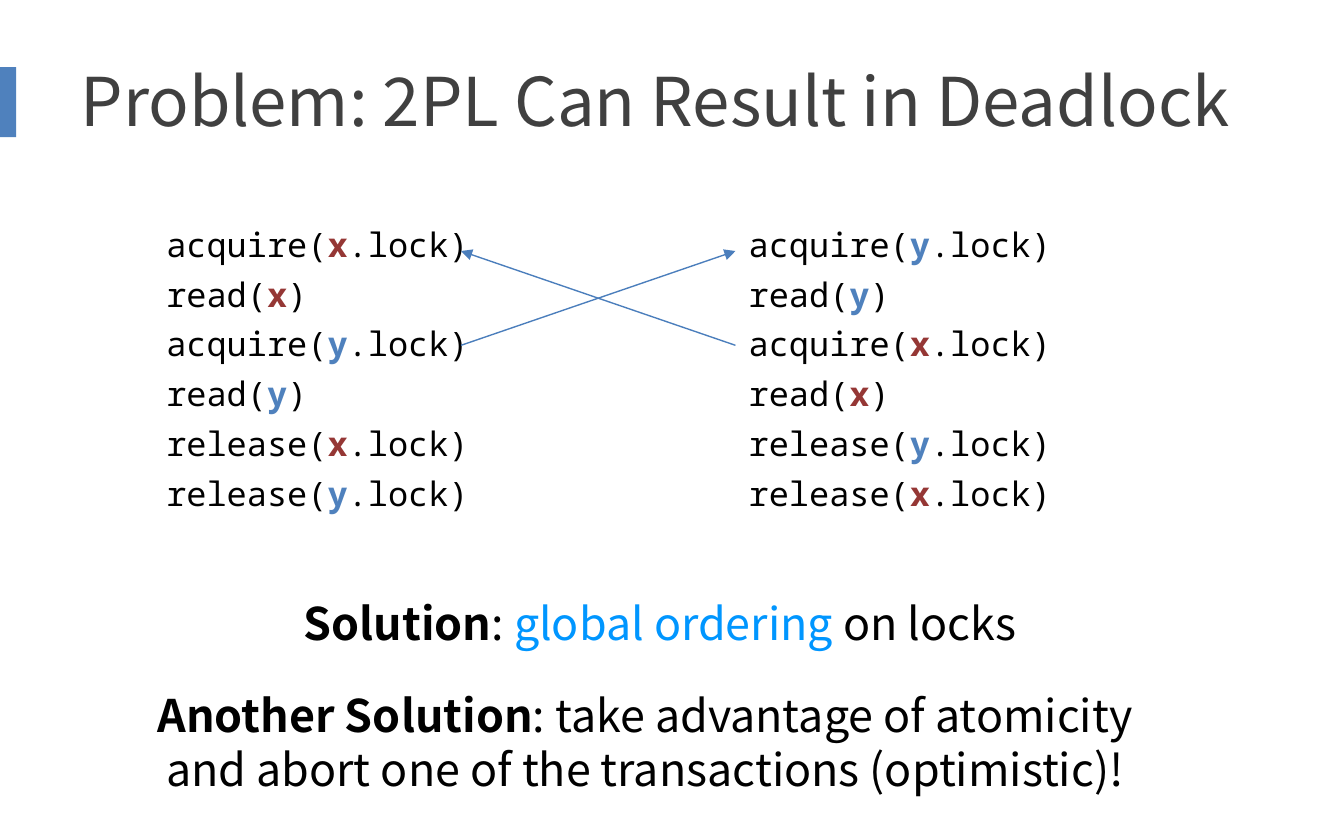
from lxml import etree
from pptx import Presentation
from pptx.dml.color import RGBColor
from pptx.enum import shapes, text
from pptx.oxml import ns
from pptx.util import Pt

COLORS = {
    "accent": "4F81BD", "title": "404040", "text": "000000",
    "x": "953735", "y": "4F81BD", "highlight": "0096FF", "arrow": "4B7EBC",
}
SANS, MONO = "Noto Sans CJK SC", "Noto Sans Mono"
LEFT_LOCKS, RIGHT_LOCKS = ("x", "y", "x", "y"), ("y", "x", "y", "x")


def color(name):
    return RGBColor.from_string(COLORS[name])


def place(shape, left, top, width, height):
    shape.left, shape.top = Pt(left), Pt(top)
    shape.width, shape.height = Pt(width), Pt(height)


def add_accent_bar(slide):
    bar = slide.shapes.add_shape(
        shapes.MSO_SHAPE.RECTANGLE, Pt(-4.3), Pt(36), Pt(13), Pt(37.5))
    bar.shadow.inherit = False
    bar.fill.solid()
    bar.fill.fore_color.rgb = color("accent")
    bar.line.fill.background()


def set_title(slide, words):
    title = slide.shapes.title
    place(title, 36, 18, 648, 70.5)
    frame = title.text_frame
    frame.text = words
    frame.vertical_anchor = text.MSO_ANCHOR.MIDDLE
    paragraph = frame.paragraphs[0]
    paragraph.alignment = text.PP_ALIGN.LEFT
    paragraph.font.size, paragraph.font.name = Pt(36), SANS
    paragraph.font.color.rgb = color("title")


def add_text_box(slide, left, top, width, height):
    box = slide.shapes.add_textbox(Pt(left), Pt(top), Pt(width), Pt(height))
    box.text_frame.word_wrap = True
    return box.text_frame


def fill_paragraph(paragraph, runs, font_name, size):
    """Add (words, colour name, bold) runs to the paragraph."""
    paragraph.font.name, paragraph.font.size = font_name, Pt(size)
    for words, color_name, bold in runs:
        run = paragraph.add_run()
        run.text = words
        run.font.bold = bold
        run.font.color.rgb = color(color_name)


def add_transaction(slide, left, locks):
    """List a two-phase transaction that takes and frees the locks in order."""
    first, second, *released = locks
    steps = [("acquire(", first, ".lock)"), ("read(", first, ")"),
             ("acquire(", second, ".lock)"), ("read(", second, ")")]
    steps += [("release(", lock, ".lock)") for lock in released]
    frame = add_text_box(slide, left, 124, 238, 183)
    for index, (call, item, ending) in enumerate(steps):
        paragraph = frame.add_paragraph() if index else frame.paragraphs[0]
        paragraph.line_spacing, paragraph.space_before = 0.6, Pt(13.7)
        runs = [(call, "text", False), (item, item, True), (ending, "text", False)]
        fill_paragraph(paragraph, runs, MONO, 18)


def add_solution(slide, left, top, height, runs):
    frame = add_text_box(slide, left, top, 550, height)
    paragraph = frame.paragraphs[0]
    paragraph.alignment = text.PP_ALIGN.CENTER
    fill_paragraph(paragraph, runs, SANS, 24)


def add_wait_arrow(slide, start_x, end_x):
    arrow = slide.shapes.add_connector(
        shapes.MSO_CONNECTOR.STRAIGHT, Pt(start_x), Pt(185), Pt(end_x), Pt(134.5))
    arrow.line.color.rgb = color("arrow")
    arrow.line.width = Pt(0.75)
    etree.SubElement(arrow.line._get_or_add_ln(), ns.qn("a:tailEnd"), type="triangle")
    etree.SubElement(arrow._element.spPr, ns.qn("a:effectLst"))


def main():
    presentation = Presentation()
    presentation.slide_width, presentation.slide_height = Pt(720), Pt(450)
    slide = presentation.slides.add_slide(presentation.slide_layouts[5])

    add_accent_bar(slide)
    set_title(slide, "Problem: 2PL Can Result in Deadlock")
    add_transaction(slide, 82, LEFT_LOCKS)
    add_transaction(slide, 394, RIGHT_LOCKS)
    add_solution(slide, 78.5, 315.5, 36, [
        ("Solution", "text", True), (": ", "text", False),
        ("global ordering", "highlight", False), (" on locks", "text", False)])
    add_solution(slide, 70.5, 365, 65.5, [
        ("Another Solution", "text", True),
        (": take advantage of atomicity and abort one of the transactions "
         "(optimistic)!", "text", False)])
    add_wait_arrow(slide, 394, 247)
    add_wait_arrow(slide, 247, 394)
    presentation.save("out.pptx")


if __name__ == "__main__":
    main()
